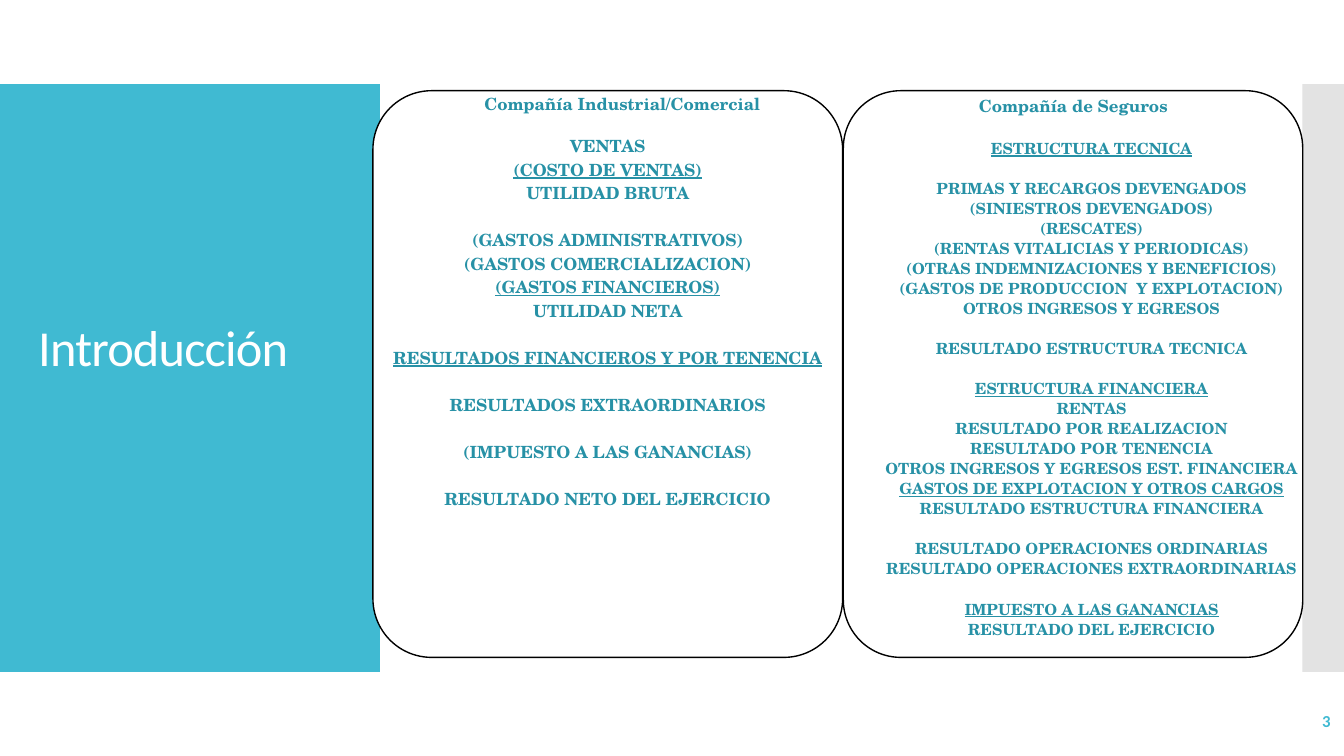
from pptx import Presentation
from pptx.dml.color import RGBColor
from pptx.enum.shapes import MSO_SHAPE
from pptx.enum.text import MSO_ANCHOR, PP_ALIGN
from pptx.util import Pt

RECTANGLE, ROUNDED = MSO_SHAPE.RECTANGLE, MSO_SHAPE.ROUNDED_RECTANGLE
TOP, MIDDLE = MSO_ANCHOR.TOP, MSO_ANCHOR.MIDDLE
LEFT, CENTER, RIGHT = PP_ALIGN.LEFT, PP_ALIGN.CENTER, PP_ALIGN.RIGHT

TURQUOISE = RGBColor(0x40, 0xBA, 0xD2)
TEAL = RGBColor(0x27, 0x91, 0xA6)
PALE_GREY = RGBColor(0xE3, 0xE3, 0xE3)
WHITE = RGBColor(0xFF, 0xFF, 0xFF)
BLACK = RGBColor(0, 0, 0)
SANS, SERIF = "Calibri", "TeX Gyre Schola"

# Content: each statement is a list of groups; a leading "_" underlines a line
TITLE = "Introducción"
PAGE_NUMBER = "3"
INDUSTRIAL = {
    "heading": "Compañía Industrial/Comercial",
    "groups": [
        ["VENTAS", "_(COSTO DE VENTAS)", "UTILIDAD BRUTA"],
        ["(GASTOS ADMINISTRATIVOS)", "(GASTOS COMERCIALIZACION)",
         "_(GASTOS FINANCIEROS)", "UTILIDAD NETA"],
        ["_RESULTADOS FINANCIEROS Y POR TENENCIA"],
        ["RESULTADOS EXTRAORDINARIOS"],
        ["(IMPUESTO A LAS GANANCIAS)"],
        ["RESULTADO NETO DEL EJERCICIO"],
    ],
    "box": (266.4, 63.4, 335.5, 330), "heading_indent": 72.5, "indent": 0,
    "size": 12, "line_gap": 2.4, "first_gap": 13.4, "group_gap": 19.2,
}
INSURANCE = {
    "heading": "Compañía de Seguros",
    "groups": [
        ["_ESTRUCTURA TECNICA"],
        ["PRIMAS Y RECARGOS DEVENGADOS", "(SINIESTROS DEVENGADOS)",
         "(RESCATES)", "(RENTAS VITALICIAS Y PERIODICAS)",
         "(OTRAS INDEMNIZACIONES Y BENEFICIOS)",
         "(GASTOS DE PRODUCCION  Y EXPLOTACION)", "OTROS INGRESOS Y EGRESOS"],
        ["RESULTADO ESTRUCTURA TECNICA"],
        ["_ESTRUCTURA FINANCIERA", "RENTAS", "RESULTADO POR REALIZACION",
         "RESULTADO POR TENENCIA", "OTROS INGRESOS Y EGRESOS EST. FINANCIERA",
         "_GASTOS DE EXPLOTACION Y OTROS CARGOS",
         "RESULTADO ESTRUCTURA FINANCIERA"],
        ["RESULTADO OPERACIONES ORDINARIAS",
         "RESULTADO OPERACIONES EXTRAORDINARIAS"],
        ["_IMPUESTO A LAS GANANCIAS", "RESULTADO DEL EJERCICIO"],
    ],
    "box": (595.4, 64.8, 360.7, 417.6), "heading_indent": 96.7, "indent": 7.9,
    "size": 11, "line_gap": 1.1, "first_gap": 15.4, "group_gap": 15.4,
}

BAND_TOP, BAND_HEIGHT = 60, 420
FRAME_TOP, FRAME_HEIGHT = 64.8, 404.8

presentation = Presentation()
presentation.slide_width, presentation.slide_height = Pt(960), Pt(540)
slide = presentation.slides.add_slide(presentation.slide_layouts[6])


def add_panel(kind, left, top, width, height, fill=None, line=None):
    shape = slide.shapes.add_shape(kind, Pt(left), Pt(top), Pt(width), Pt(height))
    shape.shadow.inherit = False
    if fill is None:
        shape.fill.background()
    else:
        shape.fill.solid()
        shape.fill.fore_color.rgb = fill
    if line is None:
        shape.line.fill.background()
    else:
        shape.line.color.rgb = line
        shape.line.width = Pt(1)
    if kind == ROUNDED:
        shape.adjustments[0] = 0.125


def add_text_frame(box, anchor):
    frame = slide.shapes.add_textbox(*map(Pt, box)).text_frame
    frame.word_wrap = True
    frame.vertical_anchor = anchor
    return frame


def add_run(paragraph, text, font_name, size, color, bold=False, underline=False):
    run = paragraph.add_run()
    run.text = text
    font = run.font
    font.name, font.size, font.bold, font.underline = font_name, Pt(size), bold, underline
    font.color.rgb = color
    return run


def indent(paragraph, amount):
    properties = paragraph._p.get_or_add_pPr()
    properties.set("marL", str(Pt(amount)))
    properties.set("indent", "0")


def add_statement(statement):
    frame = add_text_frame(statement["box"], TOP)
    heading = frame.paragraphs[0]
    heading.alignment = LEFT
    indent(heading, statement["heading_indent"])
    add_run(heading, statement["heading"], SERIF, 12, TEAL, bold=True)
    for group_index, group in enumerate(statement["groups"]):
        for line_index, line in enumerate(group):
            paragraph = frame.add_paragraph()
            paragraph.alignment = CENTER
            indent(paragraph, statement["indent"])
            gap = statement["line_gap"]
            if line_index == 0:
                gap += statement["group_gap" if group_index else "first_gap"] - gap
                gap += statement["line_gap"] if group_index == 0 else 0
                gap = gap if group_index == 0 else statement["group_gap"]
            paragraph.space_before = Pt(gap)
            add_run(paragraph, line.removeprefix("_"), SERIF, statement["size"],
                    TEAL, bold=True, underline=line.startswith("_"))


# Side bands and left frame
add_panel(RECTANGLE, 0, BAND_TOP, 271.4, BAND_HEIGHT, fill=TURQUOISE)
add_panel(RECTANGLE, 930.2, BAND_TOP, 29.8, BAND_HEIGHT, fill=PALE_GREY)
add_panel(ROUNDED, 266.4, FRAME_TOP, 335.5, FRAME_HEIGHT, fill=WHITE, line=BLACK)

# Title and page number
title = add_text_frame((20.2, 68.8, 231.8, 362), MIDDLE).paragraphs[0]
title.line_spacing = 0.9
title_run = add_run(title, TITLE, SANS, 36, WHITE)
title_run.font._element.set("spc", "-60")
number = add_text_frame((837.4, 500.4, 120.2, 28.8), MIDDLE).paragraphs[0]
number.alignment = RIGHT
add_run(number, PAGE_NUMBER, SANS, 12, TURQUOISE, bold=True)

# The two income statements
add_statement(INDUSTRIAL)
add_statement(INSURANCE)
add_panel(ROUNDED, 602.4, FRAME_TOP, 328.2, FRAME_HEIGHT, line=BLACK)

presentation.save("out.pptx")
